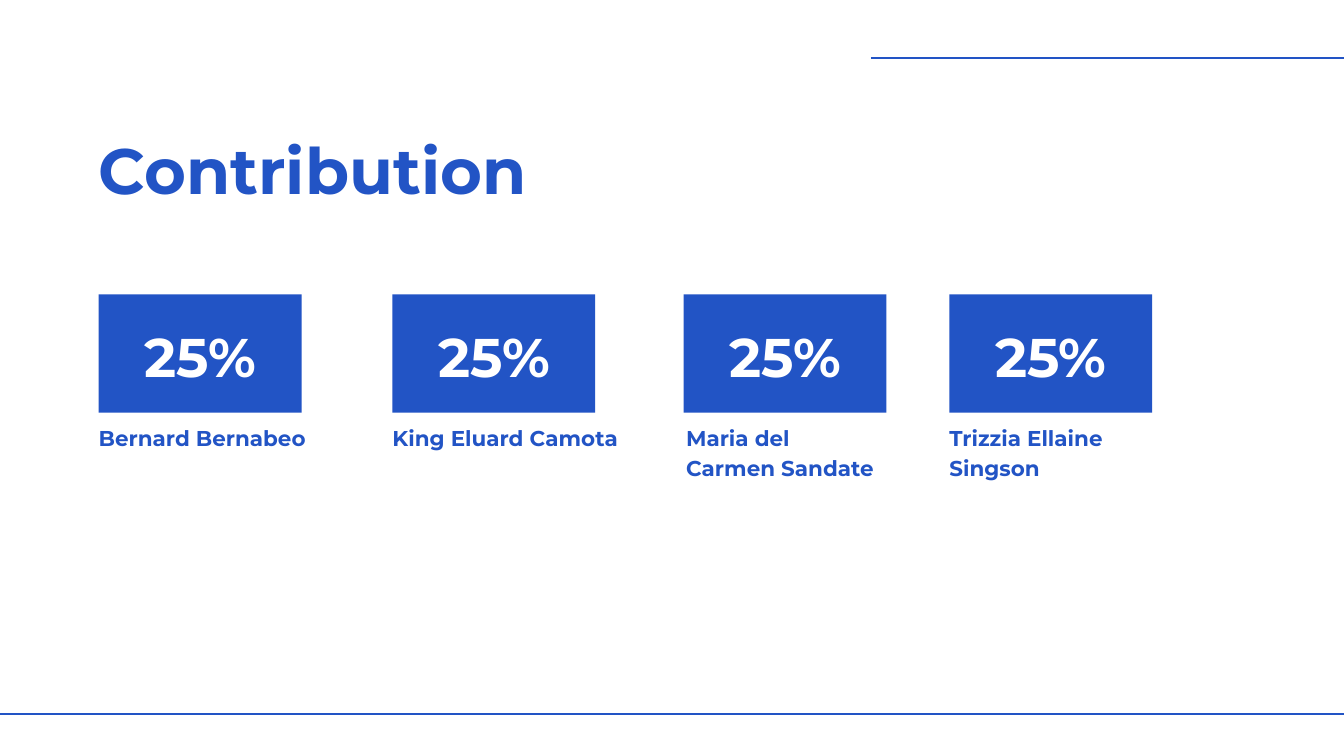
from pptx import Presentation
from pptx.dml.color import RGBColor
from pptx.enum.shapes import MSO_CONNECTOR, MSO_SHAPE
from pptx.enum.text import MSO_AUTO_SIZE, PP_ALIGN
from pptx.oxml.ns import qn
from pptx.util import Pt
from lxml import etree

RECT = MSO_SHAPE.RECTANGLE
STRAIGHT = MSO_CONNECTOR.STRAIGHT
GROW = MSO_AUTO_SIZE.SHAPE_TO_FIT_TEXT
LEFT, CENTER = PP_ALIGN.LEFT, PP_ALIGN.CENTER
COLORS = {"blue": "2254C5", "white": "FFFFFF"}
FONT = "Montserrat"


class Deck:
    def __init__(self, width, height):
        self.prs = Presentation()
        self.prs.slide_width, self.prs.slide_height = Pt(width), Pt(height)
        self.s = None

    def add_slide(self):
        self.s = self.prs.slides.add_slide(self.prs.slide_layouts[6])
        fill = self.s.background.fill
        fill.solid()
        fill.fore_color.rgb = self.color("white")

    def color(self, name):
        return RGBColor.from_string(COLORS[name])

    def text(self, text, x, y, w, h, size, spacing, color="blue", align=LEFT):
        tf = self.s.shapes.add_textbox(Pt(x), Pt(y), Pt(w), Pt(h)).text_frame
        tf.margin_left = tf.margin_right = tf.margin_top = tf.margin_bottom = 0
        tf.word_wrap = True
        tf.auto_size = GROW
        p = tf.paragraphs[0]
        p.alignment = align
        p.line_spacing = Pt(spacing)
        r = p.add_run()
        r.text = text
        r.font.name = FONT
        r.font.size = Pt(size)
        r.font.bold = True
        r.font.color.rgb = self.color(color)

    def box(self, x, y, w, h):
        sp = self.s.shapes.add_shape(RECT, Pt(x), Pt(y), Pt(w), Pt(h))
        sp.shadow.inherit = False
        sp.fill.solid()
        sp.fill.fore_color.rgb = self.color("blue")
        sp.line.fill.background()

    def rule(self, x1, x2, y):
        line = self.s.shapes.add_connector(STRAIGHT, Pt(x1), Pt(y), Pt(x2), Pt(y))
        line.line.color.rgb = self.color("blue")
        line.line.width = Pt(2.25)
        etree.SubElement(line._element.spPr, qn("a:effectLst"))

    def share(self, value, x):
        self.box(x, 315.5, 217.3, 126.5)
        self.text(value, x + 25.2, 334.8, 167, 78.5, 58.3, 81.6, "white", CENTER)

    def member(self, name, x, w, h):
        self.text(name, x, 450.7, w, h, 23, 32.2)


def main():
    members = [
        ("Bernard Bernabeo", 105.8, 105.8, 254.2, 31),
        ("King Eluard Camota", 420.5, 420.5, 248.4, 31),
        ("Maria del Carmen Sandate", 732.5, 735.1, 211.7, 62),
        ("Trizzia Ellaine Singson", 1017.2, 1017.2, 198, 62),
    ]
    deck = Deck(1440, 810)
    deck.add_slide()
    deck.text("Contribution", 105.8, 126, 756, 92.9, 68.6, 96.1)
    deck.rule(-80.6, 1529.3, 765.4)
    deck.rule(933.1, 1478.2, 62.6)
    for name, box_x, name_x, width, height in members:
        deck.share("25%", box_x)
        deck.member(name, name_x, width, height)
    deck.prs.save("out.pptx")


if __name__ == "__main__":
    main()
